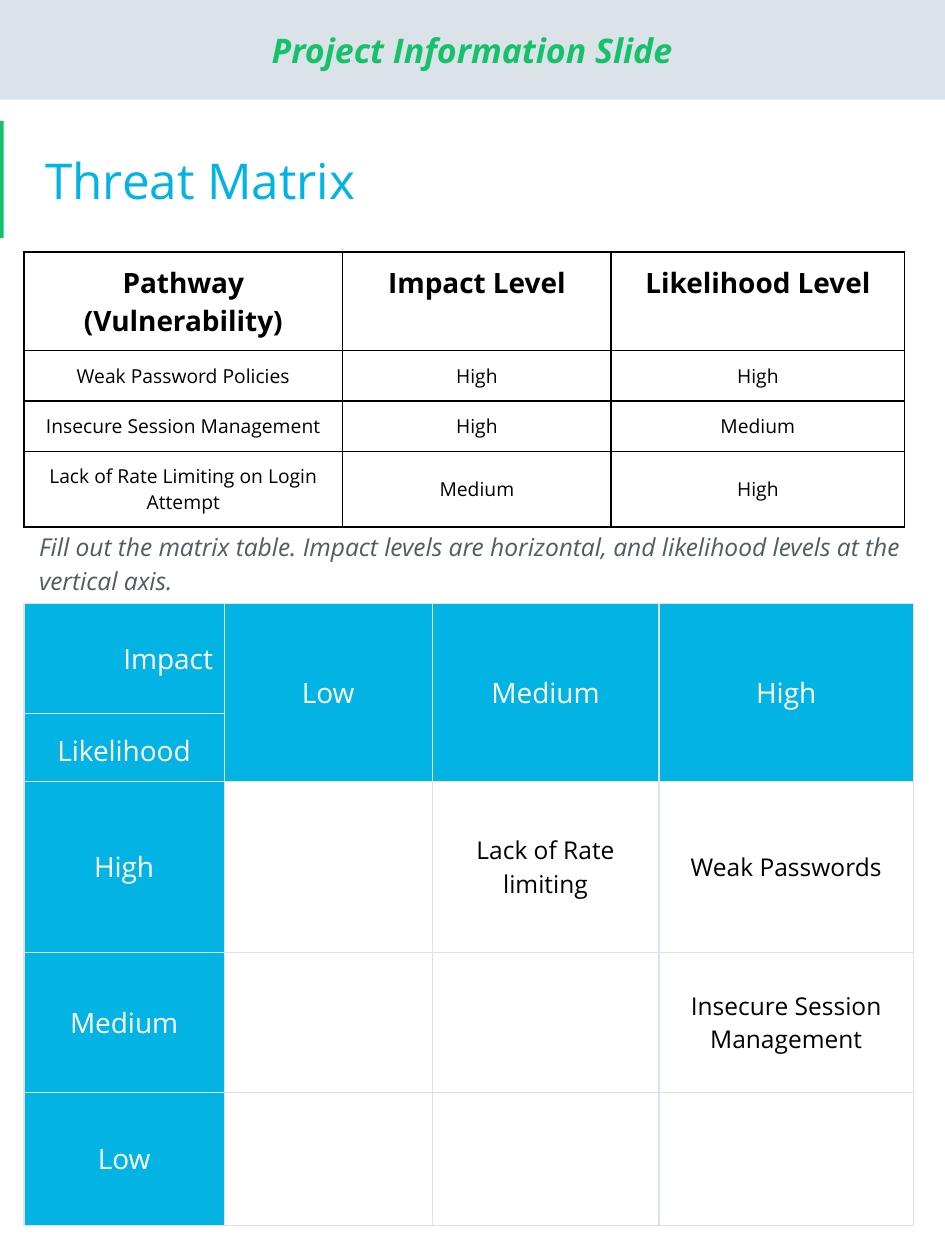
from lxml import etree
from pptx import Presentation
from pptx.dml.color import RGBColor
from pptx.enum.shapes import MSO_SHAPE
from pptx.enum.text import MSO_ANCHOR, MSO_AUTO_SIZE, PP_ALIGN
from pptx.oxml.ns import qn
from pptx.util import Inches, Pt

TOP, MIDDLE, BOTTOM = MSO_ANCHOR.TOP, MSO_ANCHOR.MIDDLE, MSO_ANCHOR.BOTTOM
LEFT, CENTER, RIGHT = PP_ALIGN.LEFT, PP_ALIGN.CENTER, PP_ALIGN.RIGHT
RECT = MSO_SHAPE.RECTANGLE
NO_AUTOFIT = MSO_AUTO_SIZE.NONE

GREEN = RGBColor(0x15, 0xC2, 0x6B)
BLUE = RGBColor(0x02, 0xB3, 0xE4)
MIST = RGBColor(0xDB, 0xE2, 0xE8)
SLATE = RGBColor(0x52, 0x5C, 0x65)
BLACK = RGBColor(0, 0, 0)
WHITE = RGBColor(0xFF, 0xFF, 0xFF)

FONT = "Open Sans"
PAD = 0.09
TABLE_LEFT = 0.19

BANNER = "Project Information Slide"
TITLE = "Threat Matrix"
HINT = ("Fill out the matrix table. Impact levels are horizontal, "
        "and likelihood levels at the vertical axis.")
THREATS = [
    ("Pathway (Vulnerability)", "Impact Level", "Likelihood Level"),
    ("Weak Password Policies", "High", "High"),
    ("Insecure Session Management", "High", "Medium"),
    ("Lack of Rate Limiting on Login Attempt", "Medium", "High"),
]
THREAT_COLS, THREAT_ROWS = (2.53, 2.13, 2.33), (0.78, 0.4, 0.4, 0.6)
MATRIX = [
    ("Impact", "Low", "Medium", "High"),
    ("Likelihood", "", "", ""),
    ("High", "", "Lack of Rate\nlimiting", "Weak Passwords"),
    ("Medium", "", "", "Insecure Session Management"),
    ("Low", "", "", ""),
]
MATRIX_COLS, MATRIX_ROWS = (1.59, 1.65, 1.8, 2.02), (0.87, 0.54, 1.36, 1.11, 1.06)


def style_text(tf, size, color, align=LEFT, bold=False, italic=False):
    for p in tf.paragraphs:
        p.alignment = align
        p.font.name, p.font.size = FONT, Pt(size)
        p.font.bold, p.font.italic = bold, italic
        p.font.color.rgb = color


def set_frame(tf, anchor, pad=PAD):
    tf.word_wrap = True
    tf.vertical_anchor = anchor
    tf.margin_left = tf.margin_right = tf.margin_top = tf.margin_bottom = Inches(pad)


def add_bar(slide, x, y, w, h, color):
    sp = slide.shapes.add_shape(RECT, *map(Inches, (x, y, w, h)))
    sp.shadow.inherit = False
    sp.fill.solid()
    sp.fill.fore_color.rgb = color
    sp.line.fill.background()
    return sp


def set_borders(cell, color, width):
    tc_pr = cell._tc.get_or_add_tcPr()
    for side in ("a:lnL", "a:lnR", "a:lnT", "a:lnB"):
        ln = etree.SubElement(tc_pr, qn(side), w=str(Pt(width)))
        fill = etree.SubElement(ln, qn("a:solidFill"))
        etree.SubElement(fill, qn("a:srgbClr"), val=str(color))


def add_grid(slide, y, rows, widths, heights, border, border_width):
    box = (TABLE_LEFT, y, sum(widths), sum(heights))
    table = slide.shapes.add_table(len(rows), len(widths), *map(Inches, box)).table
    table.first_row = table.horz_banding = False
    for column, width in zip(table.columns, widths):
        column.width = Inches(width)
    for row, height, texts in zip(table.rows, heights, rows):
        row.height = Inches(height)
        for cell, text in zip(row.cells, texts):
            cell.text = text
            cell.vertical_anchor = MIDDLE
            cell.margin_left = cell.margin_right = Inches(PAD)
            cell.margin_top = cell.margin_bottom = Inches(PAD)
            set_borders(cell, border, border_width)
            cell.fill.background()
    return table


def add_threats(slide):
    table = add_grid(slide, 2, THREATS, THREAT_COLS, THREAT_ROWS, BLACK, 1)
    for r, row in enumerate(table.rows):
        for cell in row.cells:
            head = r == 0
            if head:
                cell.vertical_anchor = TOP
            style_text(cell.text_frame, 16 if head else 11, BLACK, CENTER, bold=head)


def add_matrix(slide):
    table = add_grid(slide, 4.79, MATRIX, MATRIX_COLS, MATRIX_ROWS, MIST, 0.75)
    for r, row in enumerate(table.rows):
        for c, cell in enumerate(row.cells):
            head = r < 2 or c == 0
            if head:
                cell.fill.solid()
                cell.fill.fore_color.rgb = BLUE
            style_text(cell.text_frame, 16 if head else 14, WHITE if head else BLACK, CENTER)
    table.cell(0, 0).text_frame.paragraphs[0].alignment = RIGHT
    table.cell(1, 0).vertical_anchor = BOTTOM
    for c in range(1, len(MATRIX_COLS)):
        table.cell(0, c).merge(table.cell(1, c))


def main():
    """Build the threat matrix slide."""
    prs = Presentation()
    prs.slide_width, prs.slide_height = Inches(7.5), Inches(10)
    slide = prs.slides.add_slide(prs.slide_layouts[5])

    add_bar(slide, 0, 0.96, 0.03, 0.93, GREEN)
    banner = add_bar(slide, 0, 0, 7.5, 0.79, MIST)
    banner.text_frame.text = BANNER
    set_frame(banner.text_frame, MIDDLE)
    style_text(banner.text_frame, 19.4, GREEN, CENTER, bold=True, italic=True)

    title = slide.shapes.title
    title.left, title.top, title.width, title.height = map(Inches, (0.26, 0.87, 6.99, 1.11))
    title.text_frame.text = TITLE
    title.text_frame.auto_size = NO_AUTOFIT
    set_frame(title.text_frame, MIDDLE, 0.1)
    style_text(title.text_frame, 28.2, BLUE)

    add_threats(slide)

    hint = slide.shapes.add_textbox(*map(Inches, (0.22, 4.1, 7.06, 0.72))).text_frame
    hint.text = HINT
    set_frame(hint, TOP)
    style_text(hint, 14.1, SLATE, italic=True)
    hint.paragraphs[0].line_spacing = 1.15

    add_matrix(slide)
    prs.save("out.pptx")


if __name__ == "__main__":
    main()
